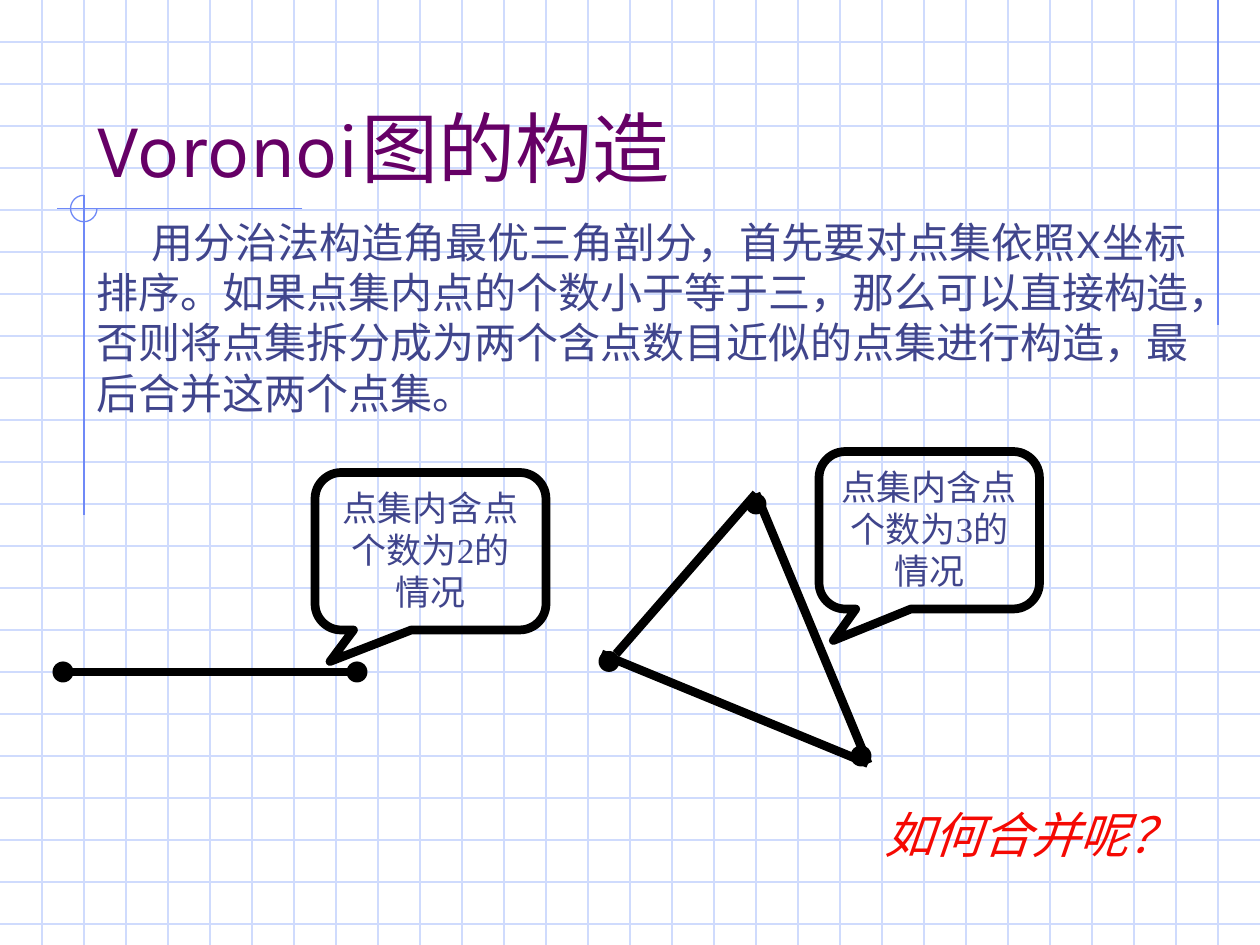
"""Build the slide on constructing a Voronoi diagram."""
from lxml.etree import SubElement
from pptx import Presentation
from pptx.dml.color import RGBColor
from pptx.enum.shapes import MSO_CONNECTOR, MSO_SHAPE
from pptx.enum.text import MSO_ANCHOR, PP_ALIGN
from pptx.oxml.ns import qn
from pptx.util import Inches, Pt

GRID = RGBColor(0xCF, 0xDB, 0xFD)
RULE = RGBColor(0x6F, 0x89, 0xF7)
PLUM = RGBColor(0x66, 0x00, 0x66)
INK = RGBColor(0x40, 0x45, 0x8C)
RED = RGBColor(0xF5, 0x09, 0x03)
BLACK = RGBColor(0, 0, 0)

deck = Presentation()
deck.slide_width, deck.slide_height = Inches(10), Inches(7.5)
slide = deck.slides.add_slide(deck.slide_layouts[5])
shapes = slide.shapes
UNIT = deck.slide_width / 30


def draw_line(x1, y1, x2, y2, color, width=0.74):
    ends = [round(v * UNIT) for v in (x1, y1, x2, y2)]
    line = shapes.add_connector(MSO_CONNECTOR.STRAIGHT, *ends)
    line.line.color.rgb = color
    line.line.width = Pt(width)
    SubElement(line._element.spPr, qn("a:effectLst"))


def set_text(shape, text, size, font, color, align=PP_ALIGN.LEFT):
    frame = shape.text_frame
    frame.text = text
    para = frame.paragraphs[0]
    para.alignment = align
    face = para.runs[0].font
    face.size, face.name, face.color.rgb = Pt(size), font, color
    return para


for row in range(1, 23):
    draw_line(0, row, 30, row, GRID)
for col in range(1, 30):
    draw_line(col, 0, col, 22.5, GRID)

draw_line(29, 0, 29, 7.74, RULE)
draw_line(7.2, 4.97, 1.36, 4.97, RULE)
draw_line(2, 4.65, 2, 12.27, RULE)
arc = shapes.add_shape(MSO_SHAPE.ARC, Inches(0.56), Inches(1.55), Inches(0.21), Inches(0.21))
arc.adjustments[0], arc.adjustments[1] = 0, 162
arc.fill.background()
arc.line.color.rgb = RULE
arc.line.width = Pt(0.74)
arc.shadow.inherit = False

title = shapes.title
title.left, title.top = round(2 * UNIT), round(UNIT)
title.width, title.height = Inches(8.5), Inches(1.25)
title.text_frame.vertical_anchor = MSO_ANCHOR.BOTTOM
set_text(title, "Voronoi图的构造", 44, "Karla", PLUM)
shapes._spTree.append(title._element)

body = shapes.add_textbox(round(2 * UNIT), round(5 * UNIT), Inches(9), Inches(1.7))
body.text_frame.word_wrap = True
para = set_text(
    body,
    "用分治法构造角最优三角剖分，首先要对点集依照X坐标排序。"
    "如果点集内点的个数小于等于三，那么可以直接构造，"
    "否则将点集拆分成为两个含点数目近似的点集进行构造，最后合并这两个点集。",
    24, "Karla", INK)
para._p.get_or_add_pPr().set("indent", str(Inches(0.44)))

ask = shapes.add_textbox(Inches(6.92), round(19 * UNIT), Inches(2.57), Inches(0.89))
ask.text_frame.word_wrap = False
set_text(ask, "如何合并呢？", 28, "Noto Sans CJK JP", RED).runs[0].font.italic = True

for x, y in ((1.5, 16), (8.5, 16), (14.5, 15.75), (18, 12), (20.5, 18)):
    dot = shapes.add_shape(MSO_SHAPE.OVAL, round((x - 0.25) * UNIT),
                           round((y - 0.25) * UNIT), round(UNIT / 2), round(UNIT / 2))
    dot.fill.solid()
    dot.fill.fore_color.rgb = BLACK
    dot.line.fill.background()
    dot.shadow.inherit = False

for edge in ((1.5, 16, 8.5, 16), (18, 11.75, 14.67, 15.57),
             (14.32, 15.57, 20.67, 18.18), (18, 11.75, 20.67, 18.18)):
    draw_line(*edge, BLACK, 5)

for count, x, y, wide in ((2, 7.5, 11.25, 5.5), (3, 19.5, 10.75, 5.25)):
    note = shapes.add_shape(MSO_SHAPE.ROUNDED_RECTANGULAR_CALLOUT, round(x * UNIT),
                            round(y * UNIT), round(wide * UNIT), round(3.75 * UNIT))
    for i, share in enumerate((-0.435, 0.7, 0.167)):
        note.adjustments[i] = share
    note.fill.background()
    note.line.color.rgb = BLACK
    note.line.width = Pt(5)
    note.shadow.inherit = False
    note.text_frame.vertical_anchor = MSO_ANCHOR.TOP
    set_text(note, f"点集内含点个数为{count}的情况", 20, "Times New Roman", INK, PP_ALIGN.CENTER)

deck.save("out.pptx")
